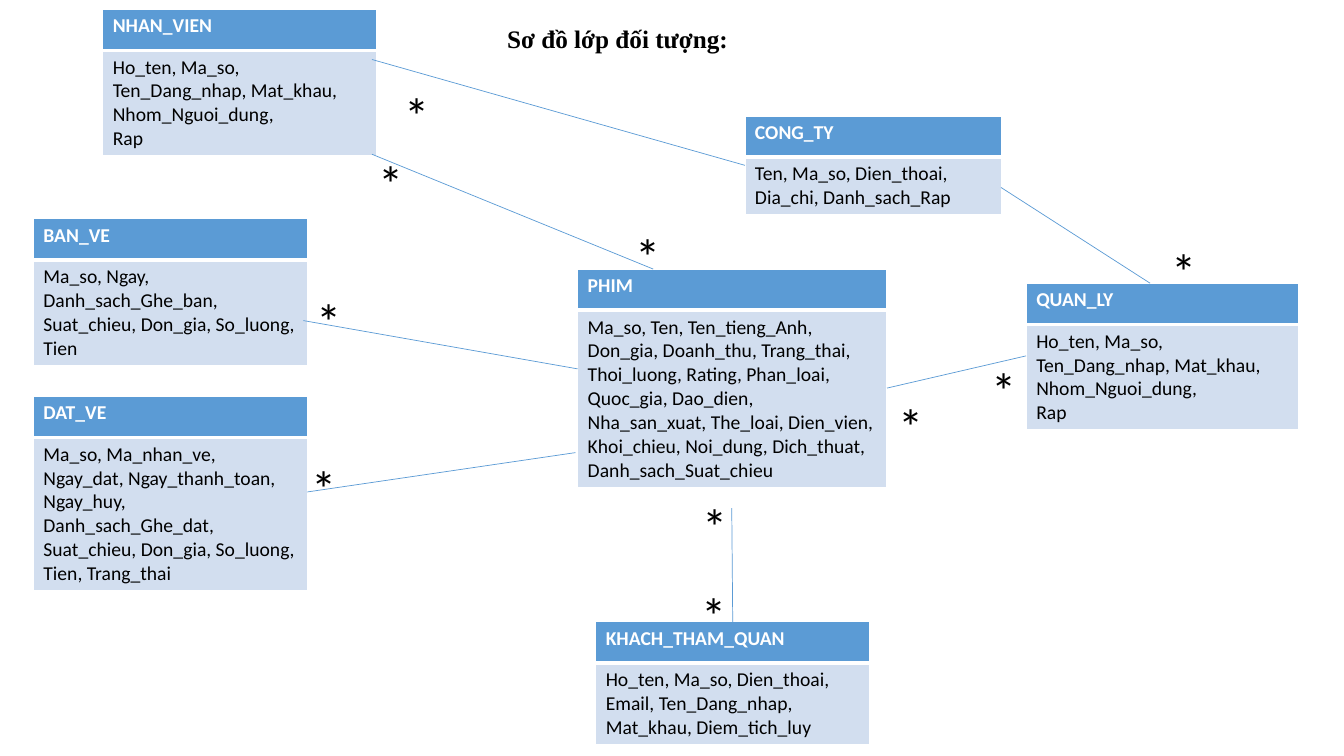
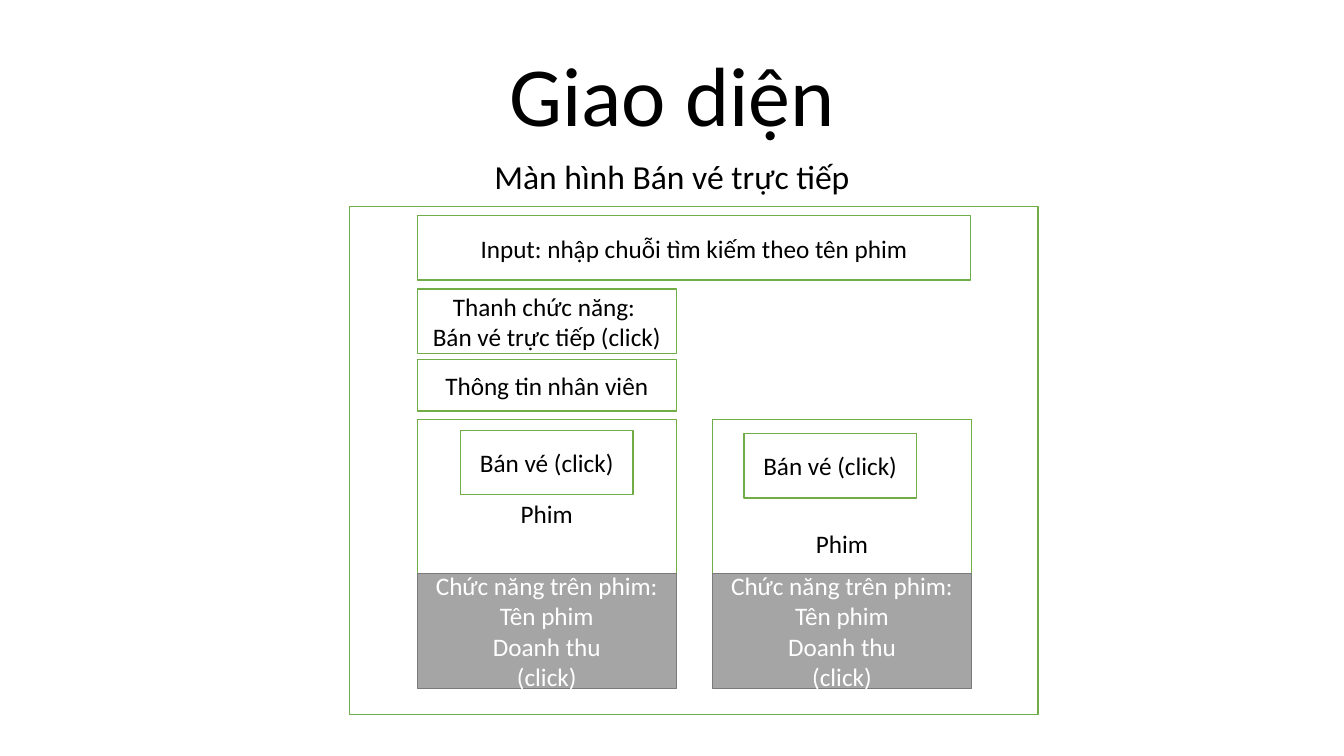
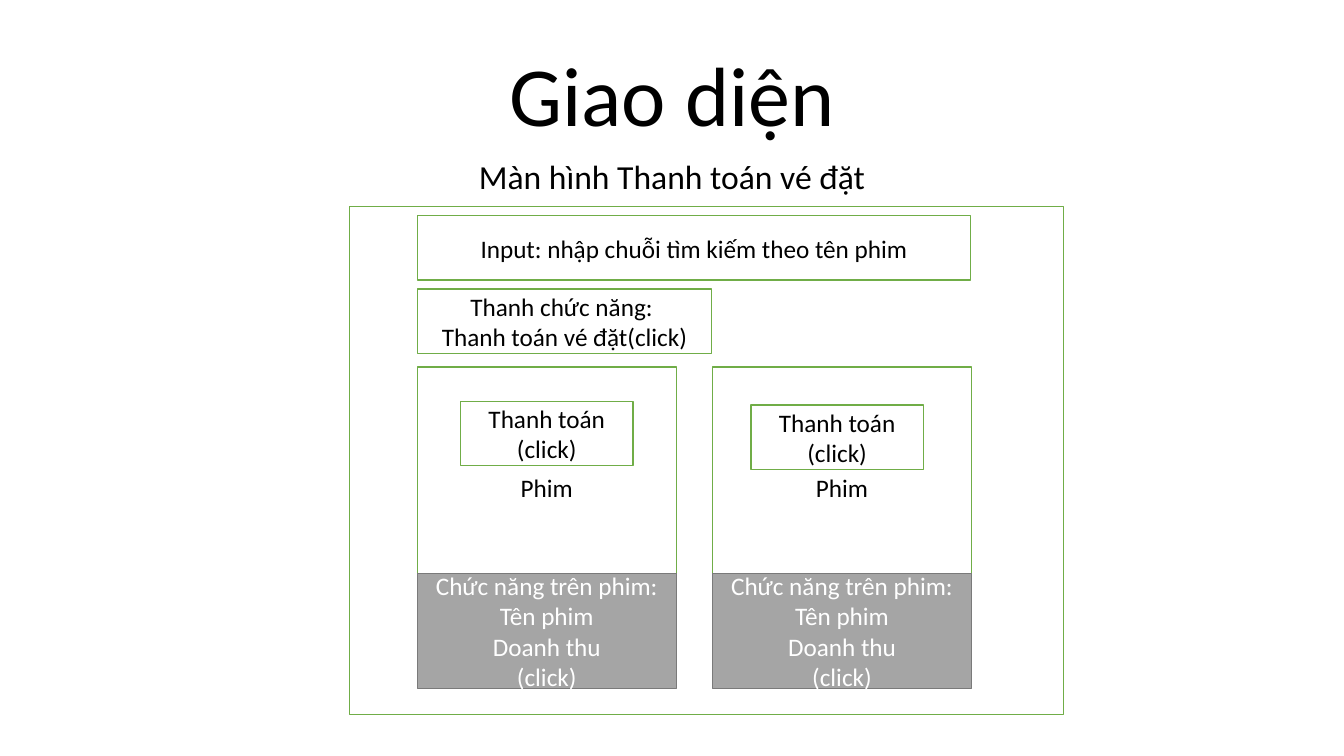
from pptx import Presentation
from pptx.dml.color import RGBColor
from pptx.enum.shapes import MSO_CONNECTOR, MSO_SHAPE
from pptx.enum.text import MSO_ANCHOR, MSO_AUTO_SIZE, PP_ALIGN
from pptx.oxml import parse_xml
from pptx.oxml.ns import nsdecls
from pptx.util import Pt

BLACK, WHITE = "000000", "FFFFFF"
BLUE, PALE_BLUE = "5B9BD5", "D2DEEF"
GREEN, GREY, DARK_GREY = "70AD47", "A5A5A5", "7A7A7A"


def color(value):
    return RGBColor.from_string(value)


def write(frame, lines, size, ink=BLACK, align=PP_ALIGN.LEFT, bold=False, font="Calibri"):
    frame.word_wrap = True
    for number, line in enumerate(lines):
        paragraph = frame.add_paragraph() if number else frame.paragraphs[0]
        paragraph.alignment = align
        run = paragraph.add_run()
        run.text = line
        run.font.size = Pt(size)
        run.font.name = font
        run.font.bold = bold
        run.font.color.rgb = color(ink)


deck = Presentation()
deck.slide_width, deck.slide_height = Pt(960), Pt(540)

# Class diagram
diagram = deck.slides.add_slide(deck.slide_layouts[5])
heading = diagram.shapes.title
heading.left, heading.top, heading.width, heading.height = Pt(355), Pt(13), Pt(360), Pt(51)
heading.text_frame.vertical_anchor = MSO_ANCHOR.TOP
heading.text_frame.auto_size = MSO_AUTO_SIZE.NONE
write(heading.text_frame, ["Sơ đồ lớp đối tượng:"], 18, bold=True, font="Times New Roman")

account = ["Ho_ten, Ma_so, Ten_Dang_nhap, Mat_khau, Nhom_Nguoi_dung,", "Rap"]
header_height = 29.5
entities = [
    ("NHAN_VIEN", account, 73.4, 6.5, 195.8, 103.7),
    ("CONG_TY", ["Ten, Ma_so, Dien_thoai, Dia_chi, Danh_sach_Rap"], 532.1, 82.8, 183.6, 69.8),
    ("PHIM", ["Ma_so, Ten, Ten_tieng_Anh, Don_gia, Doanh_thu, Trang_thai, Thoi_luong, "
              "Rating, Phan_loai, Quoc_gia, Dao_dien, Nha_san_xuat, The_loai, Dien_vien, "
              "Khoi_chieu, Noi_dung, Dich_thuat, Danh_sach_Suat_chieu"],
     412.6, 192.2, 221, 154),
    ("QUAN_LY", account, 733, 202.3, 194.4, 103.7),
    ("KHACH_THAM_QUAN", ["Ho_ten, Ma_so, Dien_thoai, Email, Ten_Dang_nhap, Mat_khau, "
                         "Diem_tich_luy"], 425.5, 444.2, 195.8, 87.1),
    ("BAN_VE", ["Ma_so, Ngay, Danh_sach_Ghe_ban, Suat_chieu, Don_gia, So_luong, Tien"],
     23.8, 156.2, 195.8, 103.7),
    ("DAT_VE", ["Ma_so, Ma_nhan_ve, Ngay_dat, Ngay_thanh_toan, Ngay_huy, Danh_sach_Ghe_dat, "
                "Suat_chieu, Don_gia, So_luong, Tien, Trang_thai"], 23.8, 283, 195.8, 137.5),
]
for entity, attributes, left, top, width, height in entities:
    grid = diagram.shapes.add_table(2, 1, Pt(left), Pt(top), Pt(width), Pt(height)).table
    grid.horz_banding = False
    grid.rows[0].height = Pt(header_height)
    grid.rows[1].height = Pt(height - header_height)
    rows = [([entity], BLUE, WHITE, True, (1, 1, 1, 3)),
            (attributes, PALE_BLUE, BLACK, False, (1, 1, 3, 1))]
    for row, (lines, fill, ink, bold, borders) in enumerate(rows):
        cell = grid.cell(row, 0)
        write(cell.text_frame, lines, 14, ink, bold=bold)
        cell.fill.solid()
        cell.fill.fore_color.rgb = color(fill)
        properties = cell._tc.get_or_add_tcPr()
        for position, (side, weight) in enumerate(zip("LRTB", borders)):
            properties.insert(position, parse_xml(
                f'<a:ln{side} {nsdecls("a")} w="{Pt(weight)}"><a:solidFill>'
                f'<a:srgbClr val="{WHITE}"/></a:solidFill></a:ln{side}>'))

relations = [
    (265.7, 110.2, 466.6, 192.2), (532.1, 118.1, 265.7, 42.5), (715, 133.9, 821.5, 202.3),
    (633.6, 277.2, 733, 254.2), (522.7, 362.9, 523.4, 444.2), (219.6, 351.4, 411.1, 323.3),
    (216.7, 229, 412.6, 263.5),
]
for ends in relations:
    relation = diagram.shapes.add_connector(MSO_CONNECTOR.STRAIGHT, *map(Pt, ends))
    relation.line.color.rgb = color(BLUE)
    relation.line.width = Pt(0.5)
    relation._element.spPr.append(parse_xml(f'<a:effectLst {nsdecls("a")}/>'))

multiplicities = [
    (263.5, 105.1), (282.2, 56.2), (829.4, 167.8), (701.3, 252.7), (635, 278.6),
    (493.9, 414), (494.6, 349.9), (447.1, 157), (215.3, 323.3), (218.9, 203.8),
]
for left, top in multiplicities:
    many = diagram.shapes.add_textbox(Pt(left), Pt(top), Pt(28.8), Pt(51))
    write(many.text_frame, ["*"], 36)

# Screen mock-ups
column_lefts, column_width = (298.1, 509), 185
film_actions = ["Chức năng trên phim:", "Tên phim", "Doanh thu", "(click)"]
screens = [
    {"name": "Màn hình Bán vé trực tiếp", "width": 491.8, "film_top": 299.5,
     "label_insets": (3.6, 46.8), "task": "Bán vé trực tiếp (click)", "task_width": 185,
     "button": "Bán vé (click)", "buttons": [(329, 307.4), (531.4, 309.6)],
     "extra": [(["Thông tin nhân viên"], 298.1, 257, column_width, 36.7)]},
    {"name": "Màn hình Thanh toán vé đặt", "width": 509.8, "film_top": 262.1,
     "label_insets": (3.6, 3.6), "task": "Thanh toán vé đặt(click)", "task_width": 210.2,
     "button": "Thanh toán (click)", "buttons": [(329, 286.6), (536.4, 289.4)],
     "extra": []},
]
for screen in screens:
    page = deck.slides.add_slide(deck.slide_layouts[0])
    headings = [
        (page.shapes.title, "Giao diện", 60, 26.6, 80.6, MSO_ANCHOR.BOTTOM, 0),
        (page.placeholders[1], screen["name"], 24, 110.9, 90.7, MSO_ANCHOR.TOP, 10),
    ]
    for holder, wording, size, top, height, anchor, space in headings:
        holder.left, holder.top, holder.width, holder.height = Pt(120), Pt(top), Pt(720), Pt(height)
        holder.text_frame.vertical_anchor = anchor
        holder.text_frame.auto_size = MSO_AUTO_SIZE.NONE
        write(holder.text_frame, [wording], size, align=PP_ALIGN.CENTER)
        holder.text_frame.paragraphs[0].line_spacing = 0.9
        holder.text_frame.paragraphs[0].space_before = Pt(space)

    film_top = screen["film_top"]
    panels = [([], 249.8, 147.6, screen["width"], 362.9, 3.6)]
    for left, inset in zip(column_lefts, screen["label_insets"]):
        panels.append((["Phim"], left, film_top, column_width, 434.2 - film_top, inset))
        panels.append((film_actions, left, 409.7, column_width, 82.1, 3.6))
    panels.append((["Input: nhập chuỗi tìm kiếm theo tên phim"], 298.1, 154.1, 395.3, 46.1, 3.6))
    panels.append((["Thanh chức năng: ", screen["task"]],
                   298.1, 206.6, screen["task_width"], 46.1, 3.6))
    panels += [([screen["button"]], left, top, 123.1, 46.1, 3.6) for left, top in screen["buttons"]]
    panels += [(*details, 3.6) for details in screen["extra"]]

    for lines, left, top, width, height, inset in panels:
        fill, edge, ink = (GREY, DARK_GREY, WHITE) if lines == film_actions else (WHITE, GREEN, BLACK)
        panel = page.shapes.add_shape(MSO_SHAPE.RECTANGLE, Pt(left), Pt(top), Pt(width), Pt(height))
        panel.shadow.inherit = False
        panel.fill.solid()
        panel.fill.fore_color.rgb = color(fill)
        panel.line.color.rgb = color(edge)
        panel.line.width = Pt(1)
        panel.text_frame.vertical_anchor = MSO_ANCHOR.MIDDLE
        panel.text_frame.margin_top = Pt(inset)
        write(panel.text_frame, lines, 18, ink, PP_ALIGN.CENTER)

deck.save("out.pptx")
